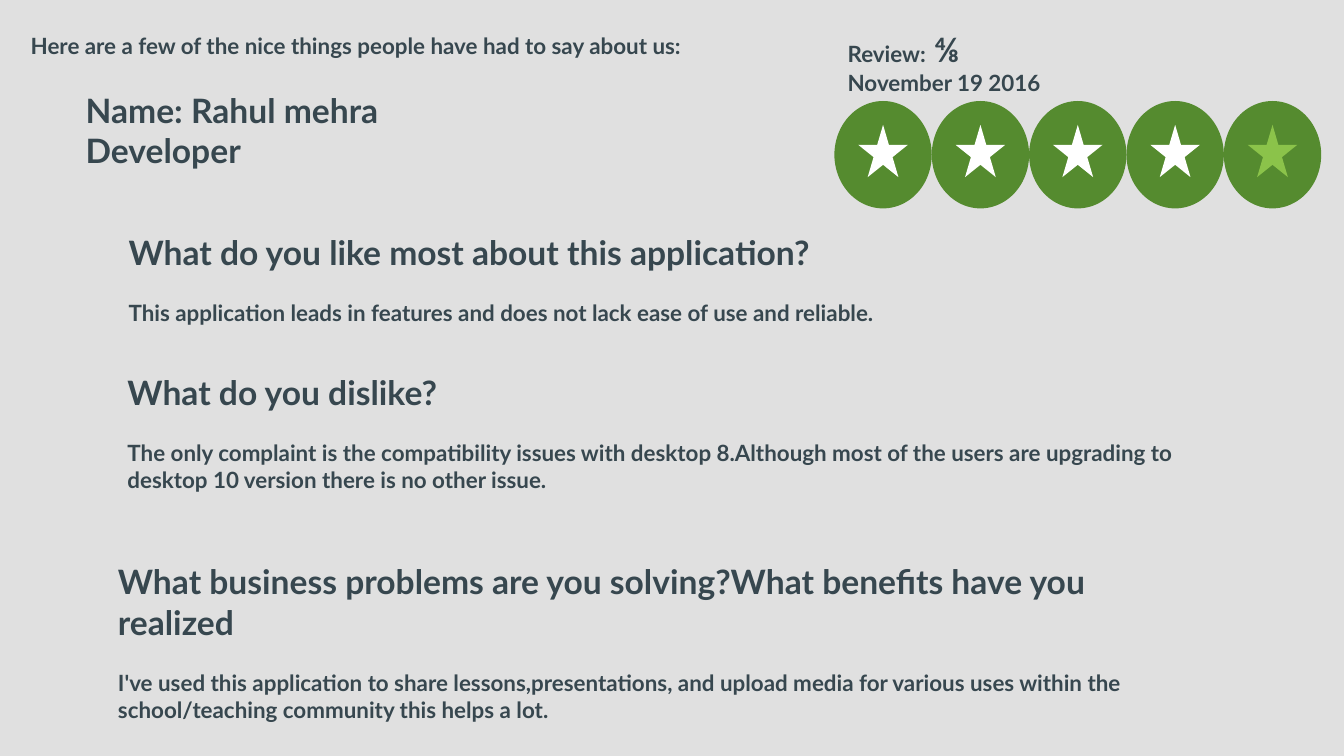
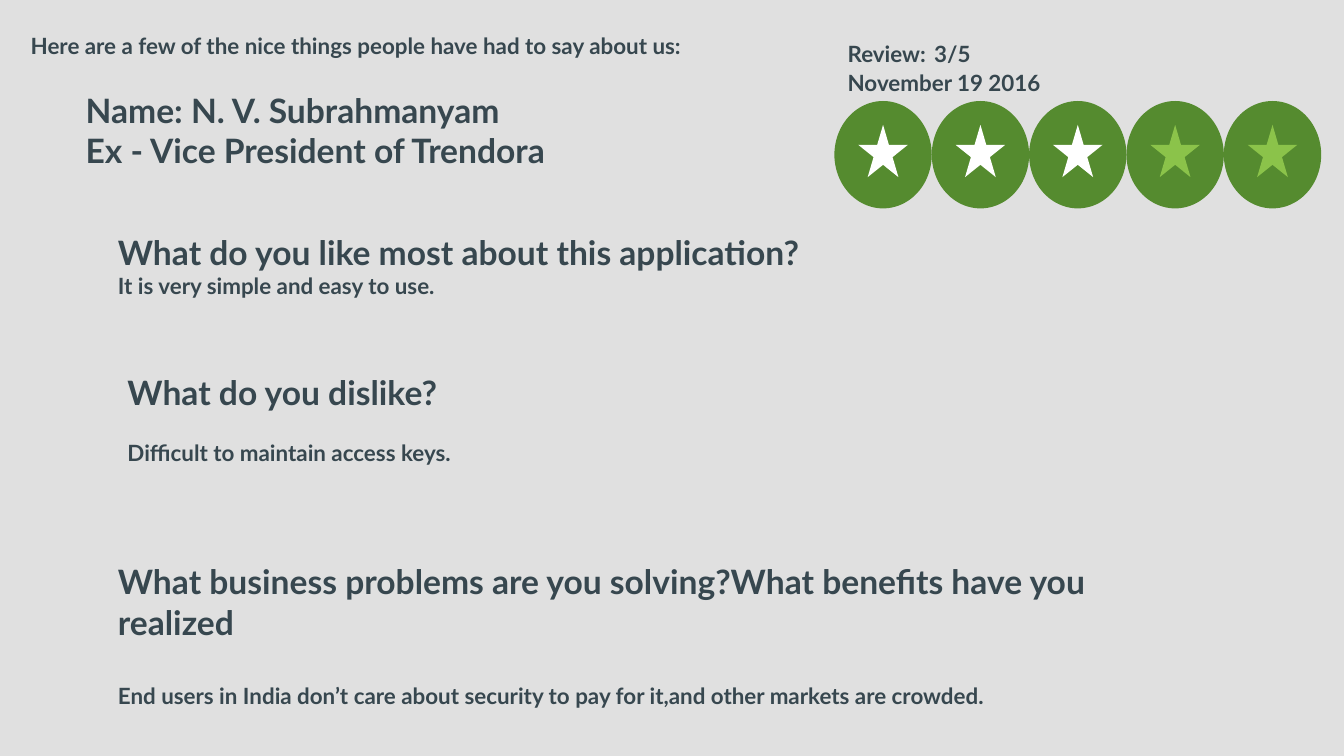
from pptx import Presentation, util as u
from pptx.dml import color
from pptx.enum import shapes, text

INK, PAPER, GREEN, LIT, UNLIT = "37474F", "E0E0E0", "558B2F", "FFFFFF", "8BC34A"
FONT = "Lato"
STEP = 1.84


def paint(fill, value):
    fill.solid()
    fill.fore_color.rgb = color.RGBColor.from_string(value)


def write(slide, left, top, width, height, paragraphs, anchor=text.MSO_ANCHOR.TOP):
    box = slide.shapes.add_textbox(u.Cm(left), u.Cm(top), u.Cm(width), u.Cm(height))
    frame = box.text_frame
    frame.word_wrap = True
    frame.vertical_anchor = anchor
    frame.margin_left = frame.margin_right = u.Cm(0.25)
    frame.margin_top = frame.margin_bottom = u.Cm(0.25)
    for index, (gap, runs) in enumerate(paragraphs):
        paragraph = frame.add_paragraph() if index else frame.paragraphs[0]
        paragraph.space_before = u.Pt(gap)
        for words, size in runs:
            run = paragraph.add_run()
            run.text = words
            run.font.name = FONT
            run.font.size = u.Pt(size)
            run.font.bold = True
            paint(run.font.fill, INK)


questions = [
    ("What do you like most about this application?", 4.14, 2.95),
    ("What do you dislike?", 6.78, 2.95),
    ("What business problems are you solving?What benefits have you realized", 10.36, 3.73),
]

reviews = [
    {
        "name": "Name: Rahul mehra",
        "role": "Developer",
        "name_width": 7.87,
        "score": [(" ⅘", 18)],
        "stars": 4,
        "answers": [
            (2.18, 14.4, "This application leads in features and does not lack ease of use and reliable."),
            (2.16, 14.4, "The only complaint is the compatibility issues with desktop 8.Although most of the "
                         "users are upgrading to desktop 10 version there is no other issue."),
            (1.98, 14.4, "I've used this application to share lessons,presentations, and upload media for "
                         "various uses within the school/teaching community this helps a lot."),
        ],
    },
    {
        "name": "Name: N. V. Subrahmanyam",
        "role": "Ex - Vice President of Trendora",
        "name_width": 9.65,
        "score": [(" ", 18), ("3/5", 12)],
        "stars": 3,
        "answers": [
            (1.98, 0, "It is very simple and easy to use."),
            (2.16, 14.4, "Difficult to maintain access keys."),
            (1.98, 21.6, "End users in India don’t care about security to pay for it,"
                         "and other markets are crowded."),
        ],
    },
]

deck = Presentation()
deck.slide_width, deck.slide_height = u.Cm(25.4), u.Cm(14.29)
paint(deck.slide_master.background.fill, PAPER)

for review in reviews:
    slide = deck.slides.add_slide(deck.slide_layouts[6])
    write(slide, 0.33, 0, 17.3, 1.73,
          [(0, [("Here are a few of the nice things people have had to say about us:", 12)])],
          text.MSO_ANCHOR.MIDDLE)

    for (question, top, height), (left, gap, answer) in zip(questions, review["answers"]):
        write(slide, left, top, 21.08, height, [(0, [(question, 18)]), (gap, [(answer, 12)])])

    for position in range(5):
        left = 15.77 + position * STEP
        badge = slide.shapes.add_group_shape()
        disc = badge.shapes.add_shape(
            shapes.MSO_SHAPE.OVAL, u.Cm(left), u.Cm(1.91), u.Cm(STEP), u.Cm(2.03))
        star = badge.shapes.add_shape(
            shapes.MSO_SHAPE.STAR_5_POINT, u.Cm(left + 0.45), u.Cm(2.36), u.Cm(0.94), u.Cm(0.99))
        star_color = LIT if position < review["stars"] else UNLIT
        for part, value in ((disc, GREEN), (star, star_color)):
            paint(part.fill, value)
            part.line.fill.background()
            part.shadow.inherit = False

    write(slide, 1.37, 1.45, review["name_width"], 2.03,
          [(0, [(review["name"], 18)]), (0, [(review["role"], 18)])])
    write(slide, 15.77, 0.3, 5.79, 1.42,
          [(0, [("Review:", 12)] + review["score"]), (0, [("November 19 2016", 12)])])

deck.save("out.pptx")
